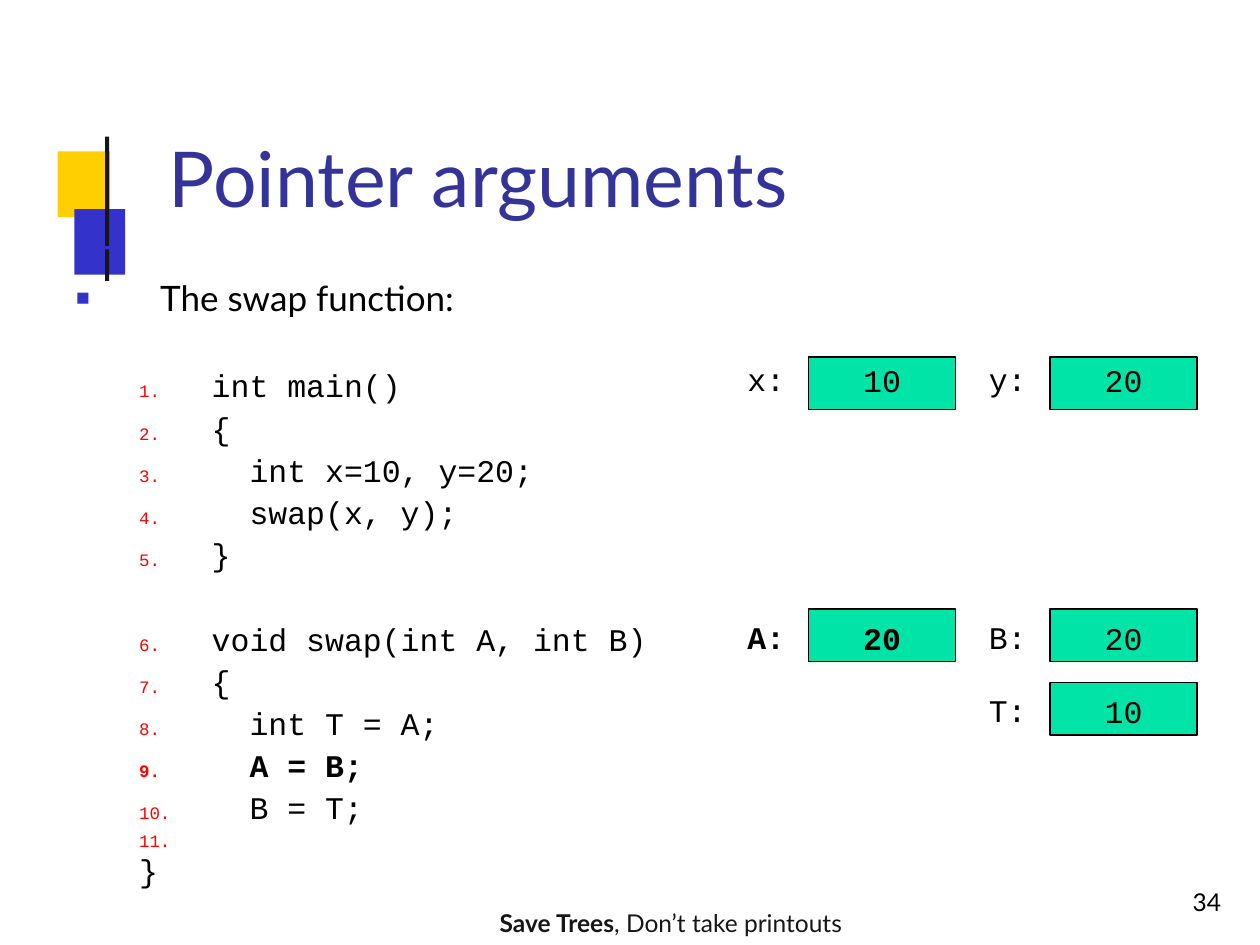
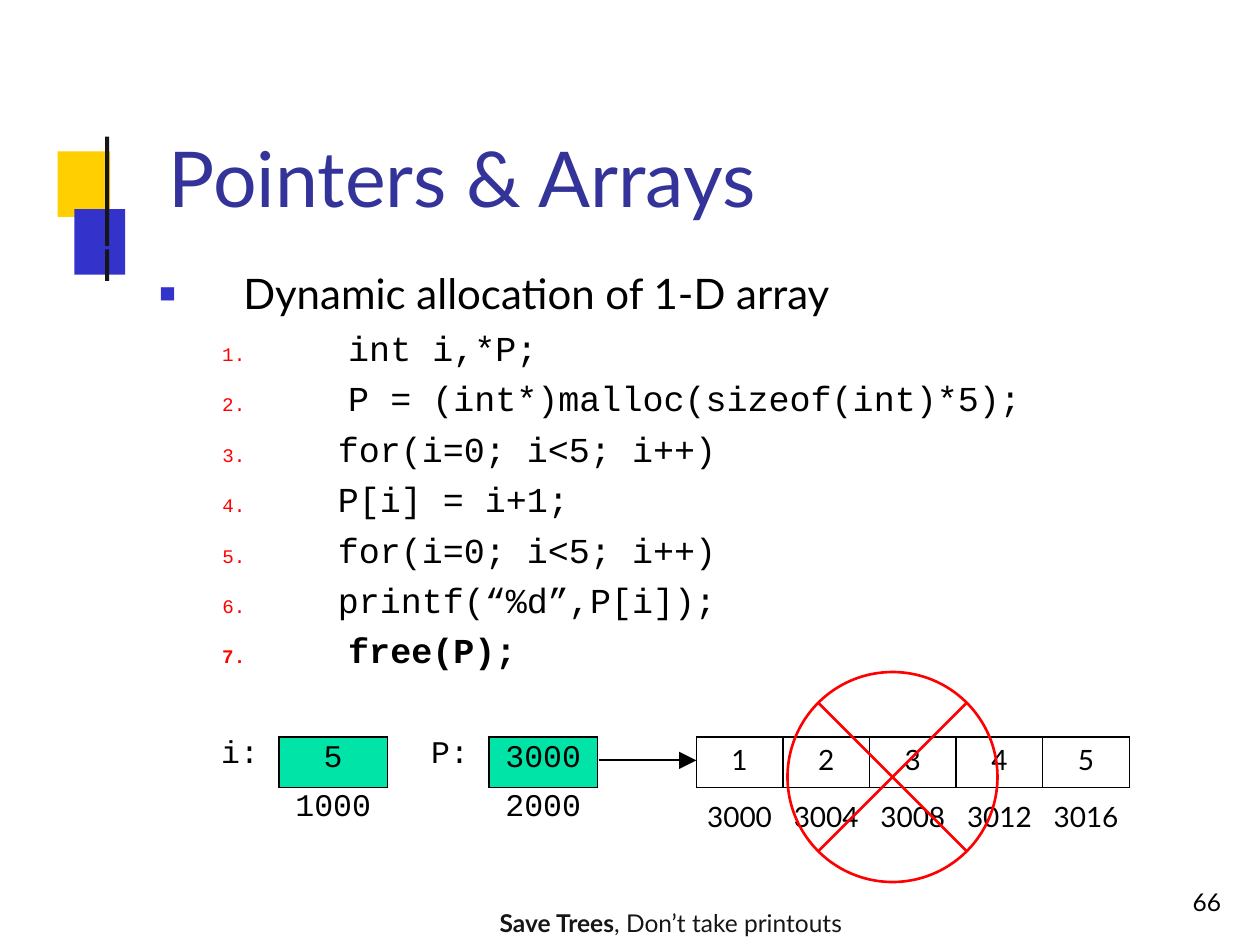
from dataclasses import dataclass
from math import sqrt

from lxml.etree import SubElement
from pptx import Presentation
from pptx.dml.color import RGBColor as Rgb
from pptx.enum.shapes import MSO_CONNECTOR as Connector, MSO_SHAPE as Shape
from pptx.enum.text import MSO_ANCHOR as Anchor, MSO_AUTO_SIZE as AutoSize, PP_ALIGN as Align
from pptx.oxml.ns import qn
from pptx.util import Pt


@dataclass(frozen=True)
class Theme:
    sans: str = "Lato"
    mono: str = "Courier New"
    yellow: str = "FFCF01"
    blue: str = "3333CC"
    title: str = "333399"
    dark: str = "161616"
    black: str = "000000"
    red: str = "FF0000"
    green: str = "00E4A8"
    title_size: int = 44
    footer_size: int = 14
    value_size: int = 18
    array_size: int = 16


@dataclass(frozen=True)
class Listing:
    left: float
    top: float
    width: float
    height: float
    heading: str
    heading_size: int
    code_size: int
    number_size: int
    pitch: float
    code_left: float


@dataclass(frozen=True)
class CodeLine:
    code: str
    bold: bool = False
    gap: float = 0
    shift: float = 0


@dataclass(frozen=True)
class Variable:
    name: str
    value: str
    left: float
    top: float
    inset: float
    bold: bool = False


@dataclass(frozen=True)
class Cell:
    text: str = ""
    edges: str = ""
    top: float = 0
    left: float = 0
    fill: str = ""
    font: str = "Courier New"
    size: int = 18
    centred: bool = True


THEME = Theme()
HEADING_LEFT, HEADING_HANG, NUMBER_LEFT = 49, 48, 37


def style(font, size: float, face: str, color: str = THEME.black, bold: bool = False) -> None:
    font.size, font.name, font.bold = Pt(size), face, bold
    font.color.rgb = Rgb.from_string(color)


def prepare(frame, top: float = 0.7) -> None:
    frame.word_wrap = True
    frame.auto_size = AutoSize.NONE
    frame.vertical_anchor = Anchor.TOP
    frame.margin_left = frame.margin_right = frame.margin_bottom = 0
    frame.margin_top = Pt(top)


def place(shape, left: float, top: float, width: float, height: float) -> None:
    shape.left, shape.top, shape.width, shape.height = map(Pt, (left, top, width, height))


def add_box(page, left: float, top: float, width: float, height: float, inset: float = 0.7):
    box = page.shapes.add_textbox(*map(Pt, (left, top, width, height)))
    prepare(box.text_frame, inset)
    return box.text_frame.paragraphs[0]


def add_block(page, left: float, top: float, width: float, height: float,
              fill: str = "", line: str = "", weight: float = 1, kind=Shape.RECTANGLE):
    block = page.shapes.add_shape(kind, *map(Pt, (left, top, width, height)))
    block.shadow.inherit = False
    if fill:
        block.fill.solid()
        block.fill.fore_color.rgb = Rgb.from_string(fill)
    else:
        block.fill.background()
    if line:
        block.line.color.rgb = Rgb.from_string(line)
        block.line.width = Pt(weight)
    else:
        block.line.fill.background()
    return block


def add_line(page, start: tuple[float, float], end: tuple[float, float],
             color: str, weight: float, arrow: bool = False) -> None:
    line = page.shapes.add_connector(Connector.STRAIGHT, *map(Pt, (*start, *end)))
    line.line.color.rgb = Rgb.from_string(color)
    line.line.width = Pt(weight)
    if arrow:
        SubElement(line.line._get_or_add_ln(), qn("a:tailEnd"), type="triangle", w="lg", len="lg")
    SubElement(line._element.spPr, qn("a:effectLst"))


def hang(para, left: float, hang_by: float, bullet: bool = False) -> None:
    props = para._p.get_or_add_pPr()
    props.set("marL", str(Pt(left)))
    props.set("indent", str(-Pt(hang_by)))
    if bullet:
        SubElement(SubElement(props, qn("a:buClr")), qn("a:srgbClr"), val=THEME.blue)
        SubElement(props, qn("a:buSzPct"), val="65000")
        SubElement(props, qn("a:buChar"), char="■")
    else:
        SubElement(props, qn("a:buNone"))


def add_page(deck, title: str, number: int):
    page = deck.slides.add_slide(deck.slide_layouts[1])
    add_block(page, 33, 86.5, 30, 37.5, THEME.yellow)
    add_block(page, 42.5, 119.5, 29, 37.5, THEME.blue)
    for top, height in ((78, 62.5), (142.5, 18)):
        add_block(page, 60, top, 2.4, height, THEME.dark)

    heading = page.shapes.title
    place(heading, 96.5, 74, 480, 55)
    prepare(heading.text_frame)
    para = heading.text_frame.paragraphs[0]
    para.text, para.alignment = title, Align.LEFT
    style(para.font, THEME.title_size, THEME.sans, THEME.title)

    para = add_box(page, 681.5, 506, 24, 19)
    para.text = str(number)
    style(para.font, THEME.footer_size, THEME.sans)

    para = add_box(page, 285.5, 518, 215, 19)
    for text, bold in (("Save Trees", True), (", Don’t take printouts", False)):
        span = para.add_run()
        span.text = text
        style(span.font, THEME.footer_size, THEME.sans, THEME.dark, bold)
    return page


def add_listing(page, listing: Listing, lines: list[CodeLine]):
    body = page.placeholders[1]
    place(body, listing.left, listing.top, listing.width, listing.height)
    frame = body.text_frame
    prepare(frame, 0)
    para = frame.paragraphs[0]
    para.text = listing.heading
    para.line_spacing, para.space_before = Pt(listing.pitch), Pt(0)
    hang(para, HEADING_LEFT, HEADING_HANG, bullet=True)
    style(para.font, listing.heading_size, THEME.sans)
    for number, line in enumerate(lines, 1):
        para = frame.add_paragraph()
        para.line_spacing, para.space_before = Pt(listing.pitch), Pt(line.gap)
        left = listing.code_left + line.shift
        hang(para, left, left - NUMBER_LEFT)
        for text, size, color in ((f"{number}.\t", listing.number_size, THEME.red),
                                  (line.code, listing.code_size, THEME.black)):
            span = para.add_run()
            span.text = text
            style(span.font, size, THEME.mono, color, line.bold)
    return frame


def add_variable(page, item: Variable) -> None:
    block = add_block(page, item.left, item.top, 84, 30, THEME.green, THEME.black)
    prepare(block.text_frame, item.inset)
    value = block.text_frame.paragraphs[0]
    value.text, value.alignment = item.value, Align.CENTER
    label = add_box(page, item.left - 35, item.top, 24, 24, item.inset - 0.5)
    label.text = item.name
    for para in (value, label):
        style(para.font, THEME.value_size, THEME.mono, bold=item.bold)


def fill_cell(target, cell: Cell) -> None:
    target.margin_left, target.margin_top = Pt(cell.left), Pt(cell.top)
    target.margin_right = target.margin_bottom = 0
    para = target.text_frame.paragraphs[0]
    para.text = cell.text
    para.alignment = Align.CENTER if cell.centred else Align.LEFT
    style(para.font, cell.size, cell.font)
    props = target._tc.get_or_add_tcPr()
    for edge in cell.edges:
        border = SubElement(props, qn(f"a:ln{edge}"), w=str(Pt(1)))
        SubElement(SubElement(border, qn("a:solidFill")), qn("a:srgbClr"), val=THEME.black)
    if cell.fill:
        target.fill.solid()
        target.fill.fore_color.rgb = Rgb.from_string(cell.fill)
    else:
        target.fill.background()


def add_memory_table(page) -> None:
    array = dict(font=THEME.sans, size=THEME.array_size)
    values = [Cell("i:", "R", left=2, centred=False),
              Cell("5", "LRTB", 2.2, fill=THEME.green),
              Cell("P:", "LR", left=25, centred=False),
              Cell("3000", "LRTB", 2.2, fill=THEME.green),
              Cell(edges="LR")]
    values += [Cell(str(n), "LRTB", 3.6, **array) for n in range(1, 6)]
    addresses = [Cell(), Cell("1000", "T", 1.5), Cell(), Cell("2000", "T", 1.5), Cell()]
    addresses += [Cell(str(a), "T", 7, **array) for a in range(3000, 3020, 4)]

    widths = [35, 62, 58, 62, 56.5] + [49.5] * 5
    holder = page.shapes.add_table(2, len(widths), Pt(124.4), Pt(421.2), Pt(sum(widths)), Pt(55.4))
    table = holder.table
    table.first_row = table.horz_banding = False
    holder._element.find(".//" + qn("a:tableStyleId")).text = "{2D5ABB26-0587-4C30-8999-92F81FD0307C}"
    for column, width in zip(table.columns, widths):
        column.width = Pt(width)
    for row, height, cells in zip(table.rows, (28.8, 26.6), (values, addresses)):
        row.height = Pt(height)
        for target, cell in zip(row.cells, cells):
            fill_cell(target, cell)


def build_pointer_arguments(deck) -> None:
    page = add_page(deck, "Pointer arguments", 34)
    frame = add_listing(page, Listing(42.5, 158, 360, 350, "The swap function:", 20, 18, 10, 24, 78.5), [
        CodeLine("int main()", gap=25),
        CodeLine("{"),
        CodeLine("  int x=10, y=20;"),
        CodeLine("  swap(x, y);"),
        CodeLine("}"),
        CodeLine("void swap(int A, int B)", gap=25),
        CodeLine("{"),
        CodeLine("  int T = A;"),
        CodeLine("  A = B;", bold=True),
        CodeLine("  B = T;"),
    ])
    for text, size, color, pitch in (("11.", 10, THEME.red, 14), ("}", 18, THEME.black, 22)):
        para = frame.add_paragraph()
        para.text = text
        para.line_spacing, para.space_before = Pt(pitch), Pt(0)
        hang(para, NUMBER_LEFT, 0)
        style(para.font, size, THEME.mono, color)

    for item in (Variable("x:", "10", 462, 204, 2.2),
                 Variable("y:", "20", 600, 204, 2.2),
                 Variable("A:", "20", 462, 348, 5.5, bold=True),
                 Variable("B:", "20", 600, 348, 5.5),
                 Variable("T:", "10", 600, 390, 5.5)):
        add_variable(page, item)


def build_pointers_and_arrays(deck) -> None:
    page = add_page(deck, "Pointers & Arrays", 66)
    add_listing(page, Listing(90, 153, 560, 232, "Dynamic allocation of 1-D array", 24, 20, 11, 28.8, 103), [
        CodeLine("int i,*P;", shift=6),
        CodeLine("P = (int*)malloc(sizeof(int)*5);", shift=6),
        CodeLine("for(i=0; i<5; i++)"),
        CodeLine("P[i] = i+1;"),
        CodeLine("for(i=0; i<5; i++)"),
        CodeLine("printf(“%d”,P[i]);"),
        CodeLine("free(P);", bold=True, shift=6),
    ])
    add_memory_table(page)
    add_line(page, (342, 434.5), (398, 434.5), THEME.black, 1, arrow=True)

    x, y, radius = 510, 444, 60
    reach = radius / sqrt(2)
    for slope in (1, -1):
        add_line(page, (x - reach, y - slope * reach), (x + reach, y + slope * reach), THEME.red, 1.5)
    add_block(page, x - radius, y - radius, 2 * radius, 2 * radius,
              line=THEME.red, weight=1.5, kind=Shape.OVAL)


def main() -> None:
    deck = Presentation()
    deck.slide_width, deck.slide_height = Pt(720), Pt(540)
    build_pointer_arguments(deck)
    build_pointers_and_arrays(deck)
    deck.save("out.pptx")


if __name__ == "__main__":
    main()
